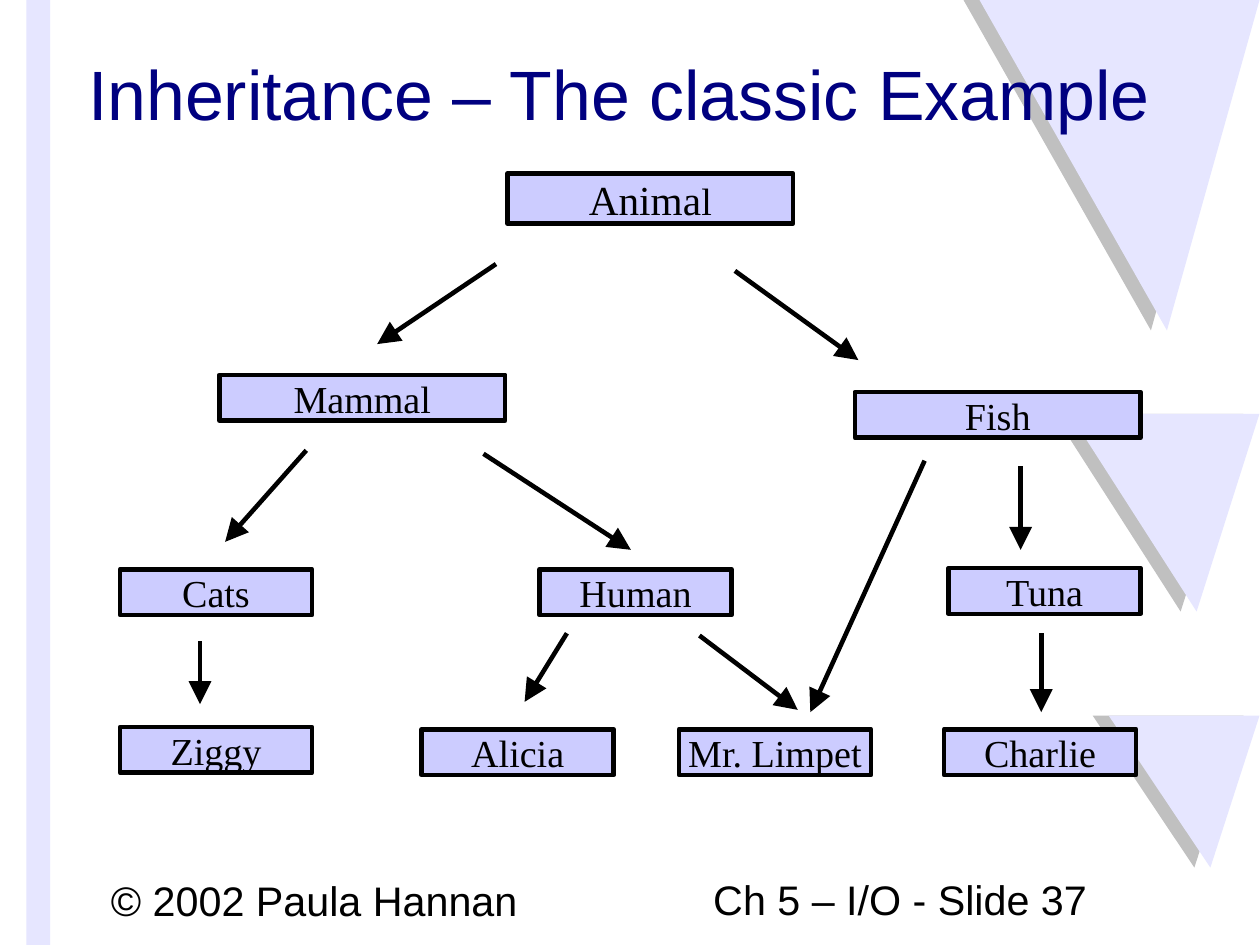
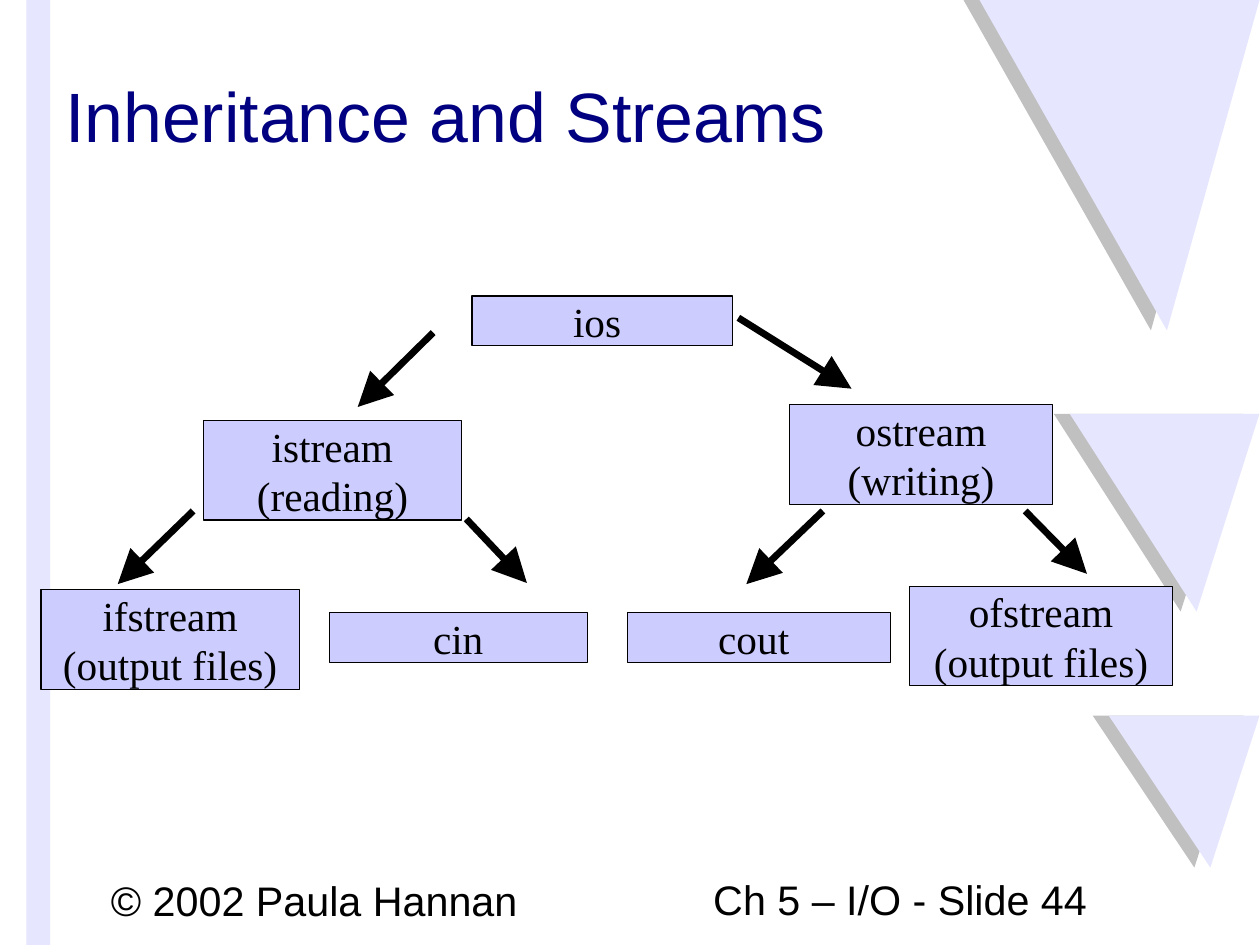
from lxml.etree import SubElement
from pptx import Presentation
from pptx.dml.color import RGBColor
from pptx.enum.shapes import MSO_CONNECTOR as Connector, MSO_SHAPE as Preset
from pptx.enum.text import MSO_ANCHOR as Anchor, PP_ALIGN as Align
from pptx.oxml.ns import qn
from pptx.util import Inches, Pt

BLACK, NAVY = "000000", "000080"
LILAC, PALE, GREY = "CCCCFF", "E6E6FF", "C0C0C0"
SANS, SERIF = "Arial", "Times New Roman"
LINE_HEIGHT = {24: 0.4, 26: 0.435}
TRIANGLES = [
    (8.57, 0, 10.21, 2.89),
    (9.36, 3.62, 10.47, 5.35),
    (9.7, 6.26, 10.59, 7.59),
]


def paint(target, color):
    target.solid()
    target.fore_color.rgb = RGBColor.from_string(color)


def write(shape, lines, font, color, align=Align.LEFT, anchor=Anchor.TOP):
    frame = shape.text_frame
    frame.word_wrap = True
    frame.vertical_anchor = anchor
    frame.margin_left = frame.margin_right = 0
    frame.margin_top = frame.margin_bottom = 0
    for index, runs in enumerate(lines):
        paragraph = frame.add_paragraph() if index else frame.paragraphs[0]
        paragraph.alignment = align
        for text, size in runs:
            run = paragraph.add_run()
            run.text = text
            run.font.name = font
            run.font.size = Pt(size)
            paint(run.font.fill, color)


animal_tree = {
    "title": "Inheritance – The classic Example",
    "title_at": (0.77, 0.12),
    "number": 37,
    "line_width": 2.89,
    "boxes": [
        (4.44, 1.52, 2.5, [[("Anima", 26), ("l", 24)]]),
        (1.92, 3.28, 2.5, [[("Mammal", 24)]]),
        (7.48, 3.43, 2.5, [[("Fish", 24)]]),
        (4.72, 4.98, 1.68, [[("Human", 24)]]),
        (1.05, 4.98, 1.68, [[("Cats", 24)]]),
        (3.69, 6.38, 1.68, [[("Alicia", 24)]]),
        (1.05, 6.36, 1.68, [[("Ziggy", 24)]]),
        (5.94, 6.38, 1.68, [[("Mr. Limpet", 24)]]),
        (8.3, 4.97, 1.68, [[("Tuna", 24)]]),
        (8.26, 6.38, 1.68, [[("Charlie", 24)]]),
    ],
    "arrow_width": 2.89,
    "arrows": [
        (4.34, 2.31, 3.3, 3.01),
        (6.43, 2.37, 7.51, 3.15),
        (2.68, 3.94, 1.97, 4.74),
        (4.23, 3.97, 5.52, 4.81),
        (4.96, 5.54, 4.59, 6.14),
        (6.12, 5.56, 6.98, 6.21),
        (8.93, 4.08, 8.93, 4.81),
        (9.11, 5.54, 9.11, 6.23),
        (1.75, 5.61, 1.75, 6.16),
        (8.09, 4.03, 7.09, 6.23),
    ],
}
stream_tree = {
    "title": "Inheritance and Streams",
    "title_at": (0.57, 0.31),
    "number": 44,
    "line_width": 0.75,
    "boxes": [
        (4.13, 2.59, 2.28, [[("ios ", 26)]]),
        (1.78, 3.68, 2.26, [[("istream", 26)], [("(reading)", 26)]]),
        (6.91, 3.54, 2.3, [[("ostream", 26)], [("(writing)", 26)]]),
        (0.36, 5.16, 2.26, [[("ifstream", 26)], [("(output files)", 26)]]),
        (7.96, 5.13, 2.3, [[("ofstream", 26)], [("(output files)", 26)]]),
        (2.88, 5.36, 2.26, [[("cin", 26)]]),
        (5.49, 5.36, 2.3, [[("cout ", 26)]]),
    ],
    "arrow_width": 4.31,
    "arrows": [
        (3.79, 2.91, 3.13, 3.56),
        (1.69, 4.47, 1.03, 5.11),
        (7.2, 4.47, 6.53, 5.11),
        (4.08, 4.54, 4.61, 5.1),
        (6.46, 2.78, 7.45, 3.4),
        (8.97, 4.47, 9.51, 5.02),
    ],
}

presentation = Presentation()
presentation.slide_width = Inches(11.024)
presentation.slide_height = Inches(8.267)

for tree in (animal_tree, stream_tree):
    slide = presentation.slides.add_slide(presentation.slide_layouts[6])
    shapes = slide.shapes

    for color, shift in ((GREY, -0.14), (PALE, 0)):
        for left, top, tip_x, tip_y in TRIANGLES:
            corners = [(left, top), (tip_x, tip_y), (11.02, top)]
            points = [(Inches(x + shift), Inches(y)) for x, y in corners]
            builder = shapes.build_freeform(*points[0])
            builder.add_line_segments(points[1:], close=True)
            triangle = builder.convert_to_shape()
            triangle.shadow.inherit = False
            paint(triangle.fill, color)
            triangle.line.fill.background()

    band = shapes.add_shape(
        Preset.RECTANGLE,
        Inches(0.23), 0, Inches(0.21), presentation.slide_height)
    band.shadow.inherit = False
    paint(band.fill, PALE)
    band.line.fill.background()

    title_left, title_top = tree["title_at"]
    for left, top, width, height, text, size, color, anchor in (
        (0.97, 7.66, 3.67, 0.43, "© 2002 Paula Hannan", 26, BLACK, Anchor.TOP),
        (6.24, 7.65, 4.02, 0.43, f"Ch 5 – I/O - Slide {tree['number']}",
         26, BLACK, Anchor.TOP),
        (title_left, title_top, 9.41, 1.38, tree["title"],
         44, NAVY, Anchor.MIDDLE),
    ):
        label = shapes.add_textbox(
            Inches(left), Inches(top), Inches(width), Inches(height))
        write(label, [[(text, size)]], SANS, color, anchor=anchor)

    for left, top, width, lines in tree["boxes"]:
        height = len(lines) * LINE_HEIGHT[lines[0][0][1]]
        box = shapes.add_shape(
            Preset.ROUNDED_RECTANGLE,
            Inches(left), Inches(top), Inches(width), Inches(height))
        box.adjustments[0] = 0
        box.shadow.inherit = False
        paint(box.fill, LILAC)
        paint(box.line.fill, BLACK)
        box.line.width = Pt(tree["line_width"])
        write(box, lines, SERIF, BLACK, Align.CENTER, Anchor.MIDDLE)

    for ends in tree["arrows"]:
        arrow = shapes.add_connector(
            Connector.STRAIGHT, *[Inches(value) for value in ends])
        paint(arrow.line.fill, BLACK)
        arrow.line.width = Pt(tree["arrow_width"])
        properties = arrow._element.spPr
        SubElement(properties.find(qn("a:ln")), qn("a:tailEnd"),
                   type="triangle", w="lg", len="lg")
        SubElement(properties, qn("a:effectLst"))

presentation.save("out.pptx")
